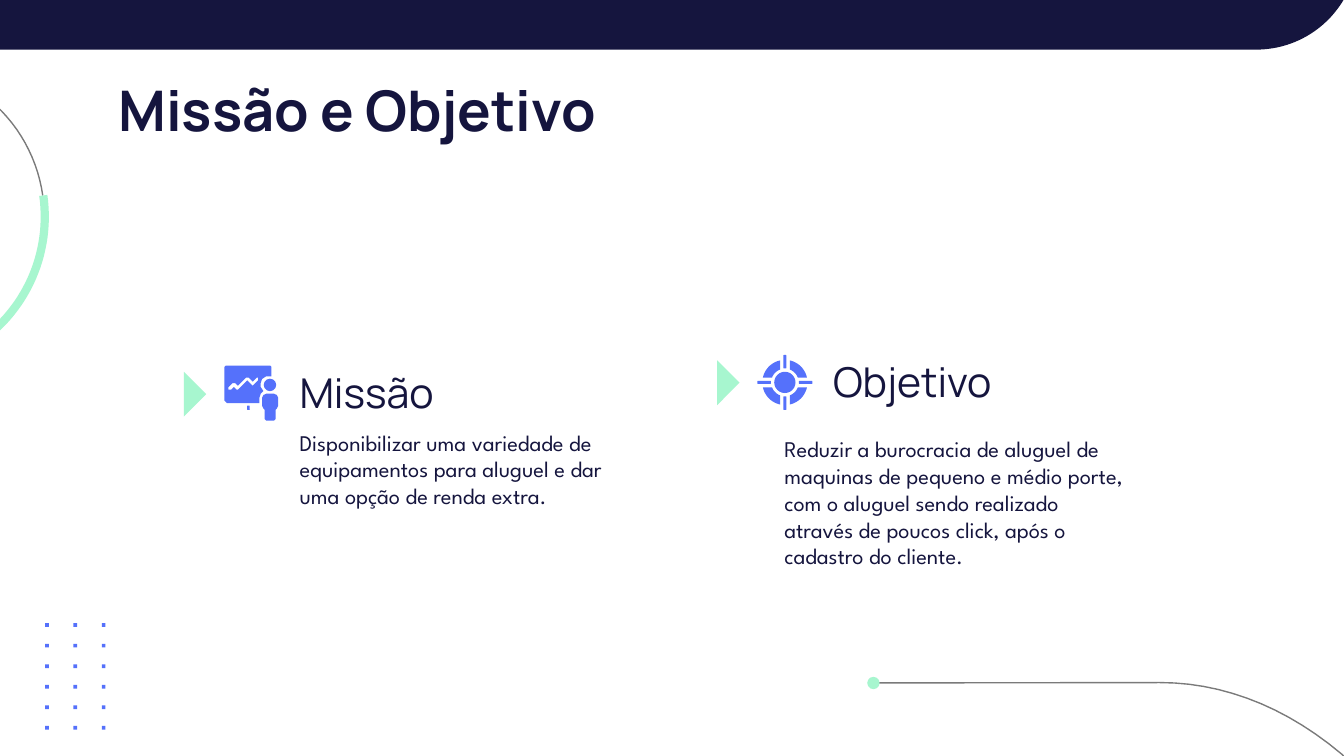
import math
from dataclasses import dataclass

import pptx
import pptx.dml.color
import pptx.enum.shapes
import pptx.enum.text
import pptx.util

Pt = pptx.util.Pt
Kind = pptx.enum.shapes.MSO_SHAPE
Anchor = pptx.enum.text.MSO_ANCHOR


def tint(code):
    return pptx.dml.color.RGBColor.from_string(code)


@dataclass(frozen=True)
class Theme:
    navy: str = "15153E"
    mint: str = "A7F6CF"
    blue: str = "5571FB"
    gray: str = "7A7A7A"
    head: str = "Manrope"
    body: str = "League Spartan"
    title: float = 30
    topic: float = 22
    text: float = 12
    line: float = 0.75


def arc(x, y, wide, high, start, end, steps=40):
    turns = [math.radians(start + (end - start) * i / steps) for i in range(steps + 1)]
    return [(x + wide * math.cos(t), y + high * math.sin(t)) for t in turns]


def inches(*pairs):
    return [(x * 72, y * 72) for x, y in pairs]


class Page:
    def __init__(self, slide, theme):
        self.slide = slide
        self.theme = theme

    def paint(self, shape, color):
        shape.shadow.inherit = False
        shape.fill.solid()
        shape.fill.fore_color.rgb = tint(color)
        shape.line.fill.background()

    def trace(self, paths, closed):
        first, *rest = [[(Pt(x), Pt(y)) for x, y in path] for path in paths]
        pen = self.slide.shapes.build_freeform(*first[0], scale=1.0)
        pen.add_line_segments(first[1:], close=closed)
        for path in rest:
            pen.move_to(*path[0])
            pen.add_line_segments(path[1:], close=closed)
        return pen.convert_to_shape()

    def area(self, color, *paths):
        self.paint(self.trace(paths, True), color)

    def curve(self, path):
        shape = self.trace([path], False)
        shape.shadow.inherit = False
        shape.fill.background()
        shape.line.color.rgb = tint(self.theme.gray)
        shape.line.width = Pt(self.theme.line)

    def block(self, kind, color, x, y, wide, high):
        shape = self.slide.shapes.add_shape(kind, Pt(x), Pt(y), Pt(wide), Pt(high))
        self.paint(shape, color)

    def fill(self, shape, text, font, size, anchor, foot, bold=False):
        frame = shape.text_frame
        frame.text = text
        frame.word_wrap = True
        frame.auto_size = pptx.enum.text.MSO_AUTO_SIZE.NONE
        frame.vertical_anchor = anchor
        frame.margin_left = frame.margin_right = frame.margin_top = Pt(7.2)
        frame.margin_bottom = Pt(foot)
        para = frame.paragraphs[0]
        para.alignment = pptx.enum.text.PP_ALIGN.LEFT
        style = para.runs[0].font
        style.name = font
        style.size = Pt(size)
        style.bold = bold
        style.color.rgb = tint(self.theme.navy)

    def title(self, text, x, y, wide, high):
        shape = self.slide.shapes.title
        shape.left, shape.top, shape.width, shape.height = map(Pt, (x, y, wide, high))
        self.fill(shape, text, self.theme.head, self.theme.title, Anchor.TOP, 7.2, True)

    def box(self, text, x, y, wide, high, font, size, anchor):
        shape = self.slide.shapes.add_textbox(Pt(x), Pt(y), Pt(wide), Pt(high))
        self.fill(shape, text, font, size, anchor, 0)

    def topic(self, text, x, y):
        look = self.theme
        self.box(text, x, y, 199.4, 34.6, look.head, look.topic, Anchor.BOTTOM)

    def note(self, text, x, y, high):
        look = self.theme
        self.box(text, x, y, 199.4, high, look.body, look.text, Anchor.TOP)

    def wedge(self, x, y):
        self.area(self.theme.mint, [(x, y), (x + 12, y + 12), (x, y + 24)])

    def target(self, x, y):
        blue = self.theme.blue
        self.block(Kind.OVAL, blue, x - 5.7, y - 5.7, 11.4, 11.4)
        for turn in range(0, 360, 90):
            outer = arc(x, y, 12.1, 12.1, turn + 12.5, turn + 77.5, 12)
            inner = arc(x, y, 7.4, 7.4, turn + 69.4, turn + 20.6, 12)
            self.area(blue, outer + inner)
            dx, dy = round(math.cos(math.radians(turn))), round(math.sin(math.radians(turn)))
            wide, high = (7.2, 1.6) if dx else (1.6, 7.2)
            left, top = x + 11.1 * dx - wide / 2, y + 11.1 * dy - high / 2
            self.block(Kind.ROUNDED_RECTANGLE, blue, left, top, wide, high)

    def board(self):
        blue = self.theme.blue
        frame = inches(
            (1.68, 2.72), (2.01, 2.72), (2.02, 2.73), (2.02, 2.8), (1.98, 2.8),
            (1.95, 2.82), (1.94, 2.85), (1.94, 2.88), (1.96, 2.91), (1.94, 2.93),
            (1.93, 2.96), (1.93, 3), (1.69, 3), (1.67, 2.98), (1.67, 2.73))
        graph = inches(
            (1.92, 2.83), (1.88, 2.87), (1.87, 2.86), (1.84, 2.83), (1.77, 2.9),
            (1.76, 2.9), (1.74, 2.88), (1.72, 2.9), (1.7, 2.9), (1.7, 2.88),
            (1.73, 2.85), (1.75, 2.85), (1.77, 2.87), (1.83, 2.81), (1.85, 2.81),
            (1.88, 2.84), (1.91, 2.81), (1.92, 2.81))
        person = inches(
            (1.98, 2.93), (2.04, 2.93), (2.06, 2.94), (2.07, 2.96), (2.07, 3.02),
            (2.06, 3.04), (2.05, 3.05), (2.05, 3.12), (2.04, 3.13), (1.98, 3.13),
            (1.97, 3.12), (1.97, 3.05), (1.96, 3.04), (1.95, 3.02), (1.95, 2.96),
            (1.96, 2.94))
        self.area(blue, frame, graph)
        self.area(blue, person)
        self.block(Kind.OVAL, blue, 141.3, 202.9, 6.7, 6.7)
        self.block(Kind.ROUNDED_RECTANGLE, blue, 132.4, 217.4, 1.4, 2.2)

    def decor(self):
        look = self.theme
        self.curve([(468, 365.9)] + arc(621.4, 666.7, 199.4, 301, -90, 0) + [(820.8, 762.5)])
        self.block(Kind.OVAL, look.mint, 464.6, 362.6, 6.6, 6.6)
        x, y = -57.8, 116.1
        self.curve(arc(x, y, 81.5, 81.5, 82, 352, 90))
        self.area(look.mint, arc(x, y, 84, 84, 82, -8) + arc(x, y, 79.6, 79.6, -8, 82))
        for row in range(6):
            for col in range(3):
                left, top = 24.2 + 15.15 * col, 333.9 + 11 * row
                self.block(Kind.RECTANGLE, look.blue, left, top, 2, 2)
        self.area(look.navy, [(0, 0), (0, 26.6)] + arc(673, -27.8, 54.4, 54.4, 90, 30.7))


def main():
    deck = pptx.Presentation()
    deck.slide_width, deck.slide_height = Pt(720), Pt(405)
    page = Page(deck.slides.add_slide(deck.slide_layouts[5]), Theme())
    page.decor()
    page.title("Missão e Objetivo", 56.2, 33.1, 607.7, 45.4)
    page.topic("Missão", 153.4, 188.4)
    page.note("Disponibilizar uma variedade de equipamentos para aluguel e dar "
              "uma opção de renda extra.", 153.4, 222.5, 81.4)
    page.wedge(98.5, 199.2)
    page.board()
    page.topic("Objetivo", 439.2, 182.6)
    page.note("Reduzir a burocracia de aluguel de maquinas de pequeno e médio porte, "
              "com o aluguel sendo realizado através de poucos click, após o "
              "cadastro do cliente.", 413.1, 225.9, 103)
    page.wedge(384.2, 193)
    page.target(420.5, 204.9)
    deck.save("out.pptx")


if __name__ == "__main__":
    main()
